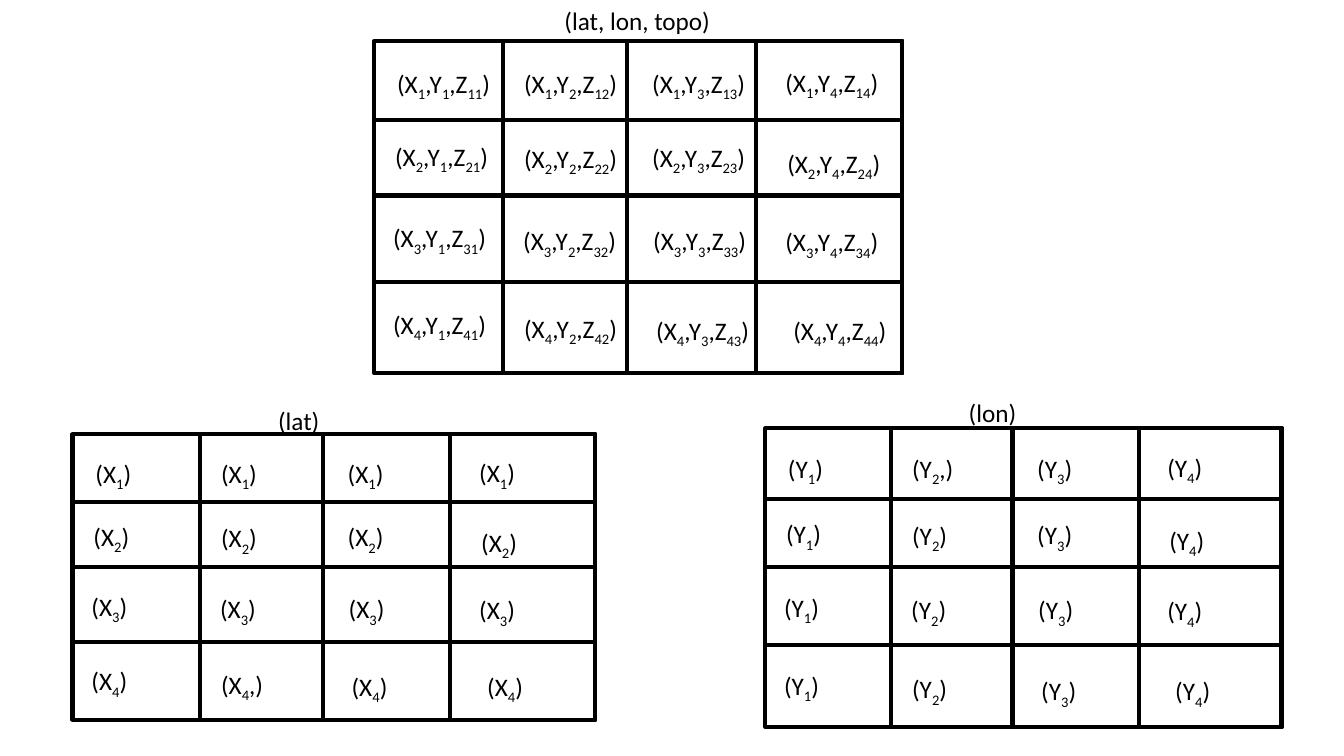
from pptx import Presentation
from pptx.dml.color import RGBColor
from pptx.enum.shapes import MSO_CONNECTOR, MSO_SHAPE
from pptx.enum.text import MSO_AUTO_SIZE
from pptx.oxml.ns import qn
from pptx.util import Inches, Pt
from lxml.etree import SubElement

COLORS = {"ink": "000000"}
FONT = "Calibri"

# Shared layout of the 4 x 4 grids, measured from the top left corner
GRID_WIDTH, GRID_HEIGHT = 5.24, 3.29
COLUMN_EDGES = [0, 1.28, 2.51, 3.79]
ROW_EDGES = [2.39, 1.53, 0.78]
LABEL_WIDTH, LABEL_HEIGHT = 1.18, 0.34
LABEL_OFFSETS = [
    [(0.13, 0.22), (1.39, 0.22), (2.66, 0.22), (3.98, 0.21)],
    [(0.11, 0.94), (1.39, 0.96), (2.66, 0.95), (4.0, 1.01)],
    [(0.09, 1.75), (1.38, 1.78), (2.67, 1.78), (3.98, 1.79)],
    [(0.09, 2.61), (1.39, 2.65), (2.7, 2.67), (4.06, 2.67)],
]

# Subscripts stand in braces; "comma" names the cell with a trailing comma
GRIDS = [
    {"box": (3.71, 0.41, 5.24, 3.29), "caption": "(lat, lon, topo)",
     "caption_box": (5.5, 0, 1.74, 0.4),
     "label": "(X{{{row}}},Y{{{column}}},Z{{{row}{column}}}", "comma": None},
    {"box": (0.72, 4.31, 5.18, 2.83), "caption": "(lat)",
     "caption_box": (2.66, 3.97, 1.55, 0.29),
     "label": "(X{{{row}}}", "comma": (4, 2)},
    {"box": (7.59, 4.25, 5.12, 2.96), "caption": "(lon)",
     "caption_box": (9.51, 3.89, 1.53, 0.3),
     "label": "(Y{{{column}}}", "comma": (1, 2)},
]


def write_text(paragraph, text, size=18, color="ink", font=FONT):
    """Write text, lowering the parts that stand in braces."""
    for index, part in enumerate(text.replace("}", "{").split("{")):
        run = paragraph.add_run()
        run.text = part
        run.font.size = Pt(size)
        run.font.name = font
        run.font.color.rgb = RGBColor.from_string(COLORS[color])
        if index % 2:
            run._r.get_or_add_rPr().set("baseline", "-25000")


class GridSlide:
    def __init__(self, slide, line_width=3):
        self.slide = slide
        self.line_width = Pt(line_width)

    def style_line(self, shape):
        shape.line.width = self.line_width
        shape.line.color.rgb = RGBColor.from_string(COLORS["ink"])

    def add_frame(self, left, top, width, height):
        shape = self.slide.shapes.add_shape(
            MSO_SHAPE.RECTANGLE, Inches(left), Inches(top), Inches(width), Inches(height))
        shape.shadow.inherit = False
        shape.fill.background()
        self.style_line(shape)

    def add_rule(self, left, right, y):
        connector = self.slide.shapes.add_connector(
            MSO_CONNECTOR.STRAIGHT, Inches(left), Inches(y), Inches(right), Inches(y))
        self.style_line(connector)
        SubElement(connector._element.spPr, qn("a:effectLst"))

    def add_text(self, text, left, top, width, height):
        shape = self.slide.shapes.add_textbox(
            Inches(left), Inches(top), Inches(width), Inches(height))
        shape.text_frame.word_wrap = True
        shape.text_frame.auto_size = MSO_AUTO_SIZE.SHAPE_TO_FIT_TEXT
        write_text(shape.text_frame.paragraphs[0], text)

    def add_grid(self, box, caption, caption_box, label, comma):
        left, top, width, height = box
        scale_x, scale_y = width / GRID_WIDTH, height / GRID_HEIGHT

        # Frames share the right edge; each left edge divides two columns
        for edge in COLUMN_EDGES:
            offset = edge * scale_x
            self.add_frame(left + offset, top, width - offset, height)
        for edge in ROW_EDGES:
            self.add_rule(left, left + width, top + edge * scale_y)

        # Caption and cell labels
        self.add_text(caption, *caption_box)
        for row, offsets in enumerate(LABEL_OFFSETS, 1):
            for column, (x, y) in enumerate(offsets, 1):
                ending = ",)" if (row, column) == comma else ")"
                self.add_text(label.format(row=row, column=column) + ending,
                              left + x * scale_x, top + y * scale_y,
                              LABEL_WIDTH * scale_x, LABEL_HEIGHT * scale_y)


def main():
    presentation = Presentation()
    presentation.slide_width = Inches(13.33)
    presentation.slide_height = Inches(7.5)
    slide = presentation.slides.add_slide(presentation.slide_layouts[6])
    grid_slide = GridSlide(slide)
    for grid in GRIDS:
        grid_slide.add_grid(**grid)
    presentation.save("out.pptx")


if __name__ == "__main__":
    main()
